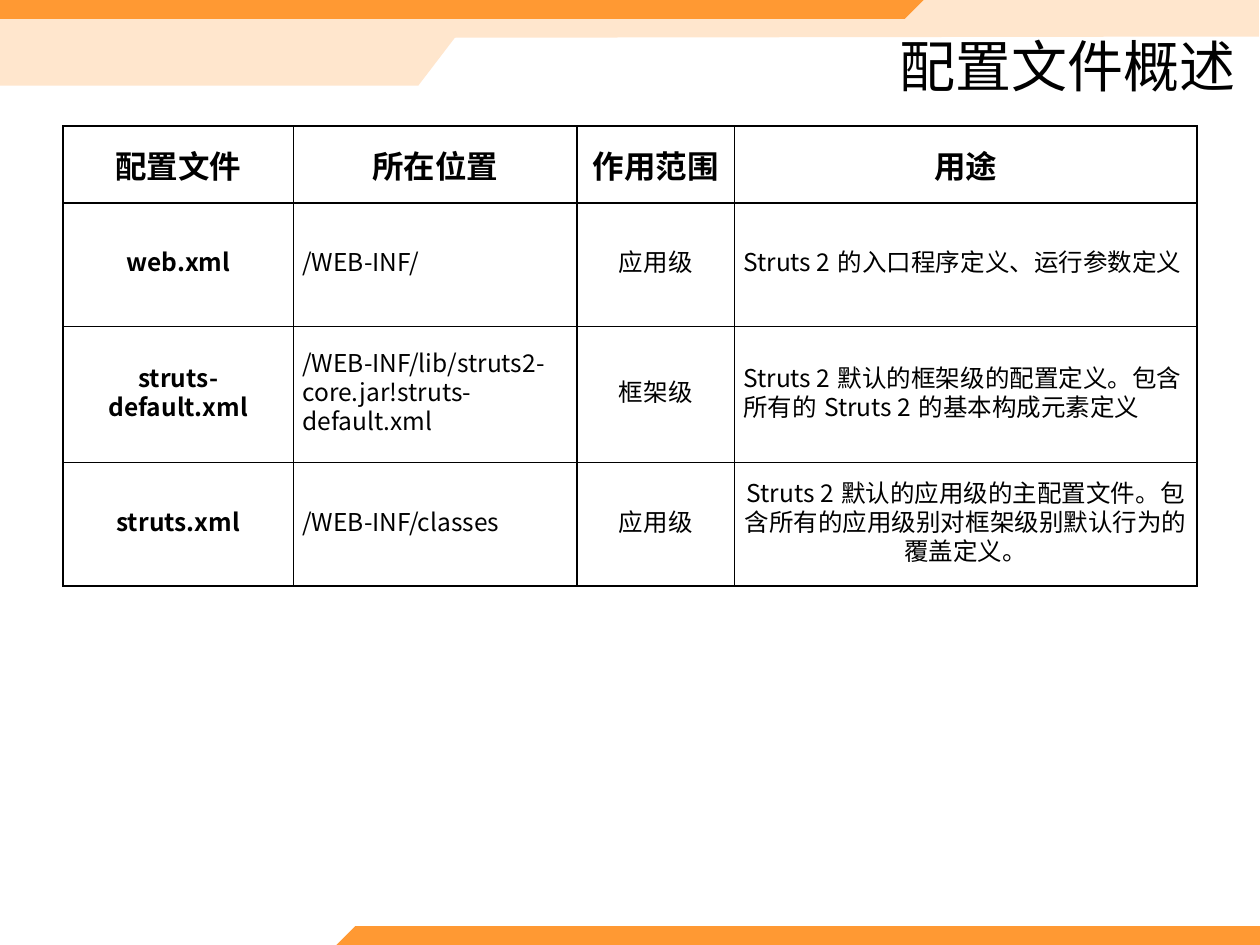
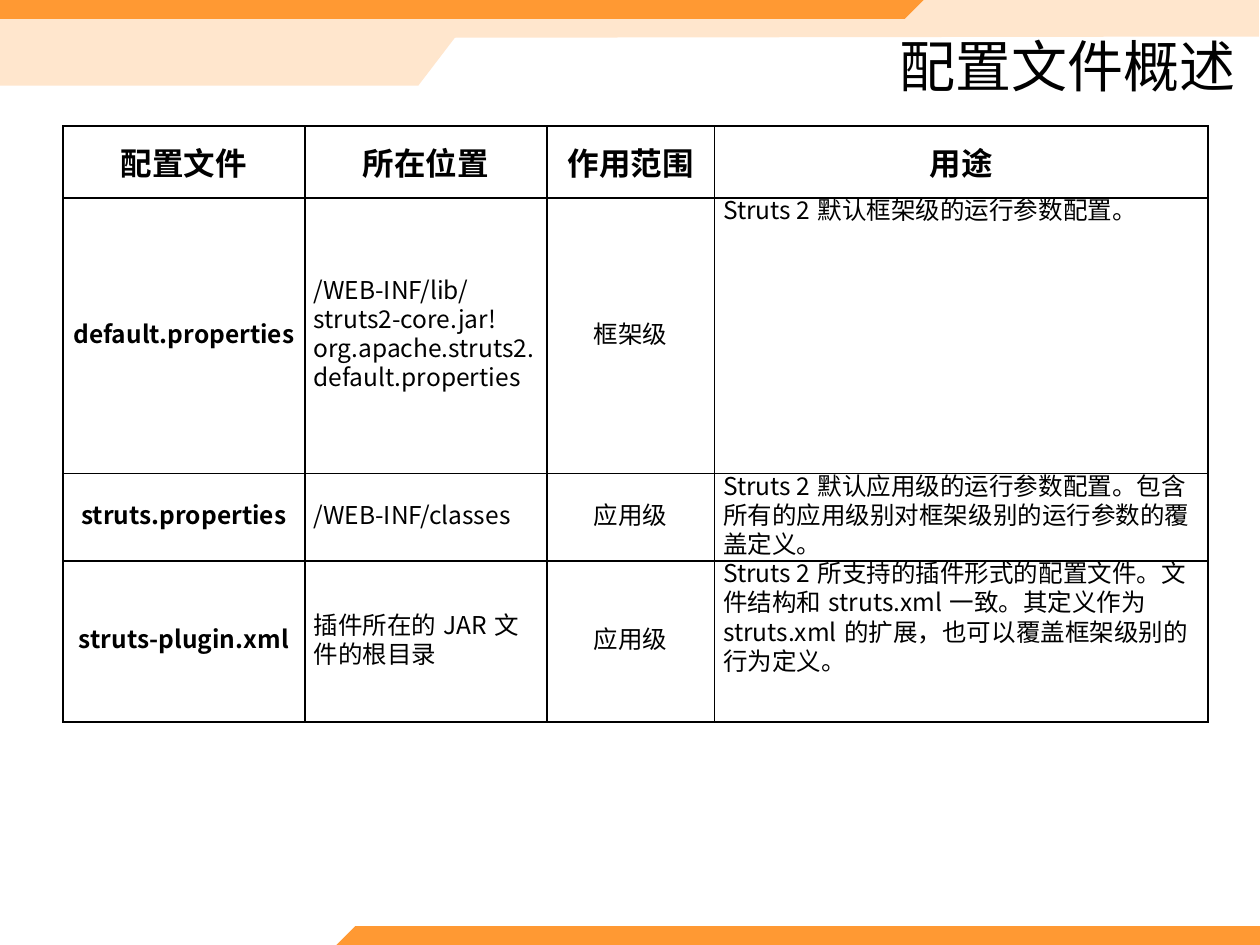
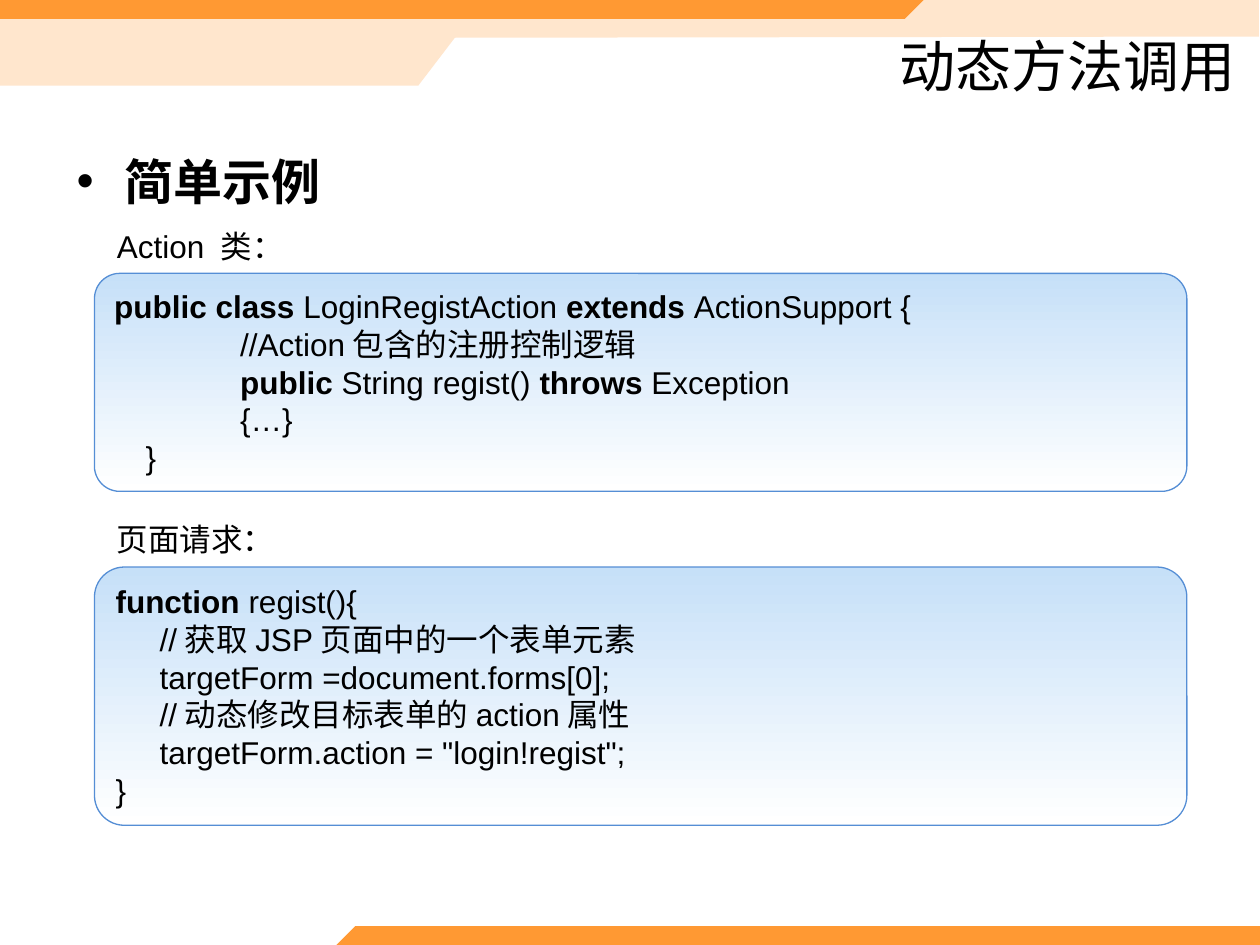
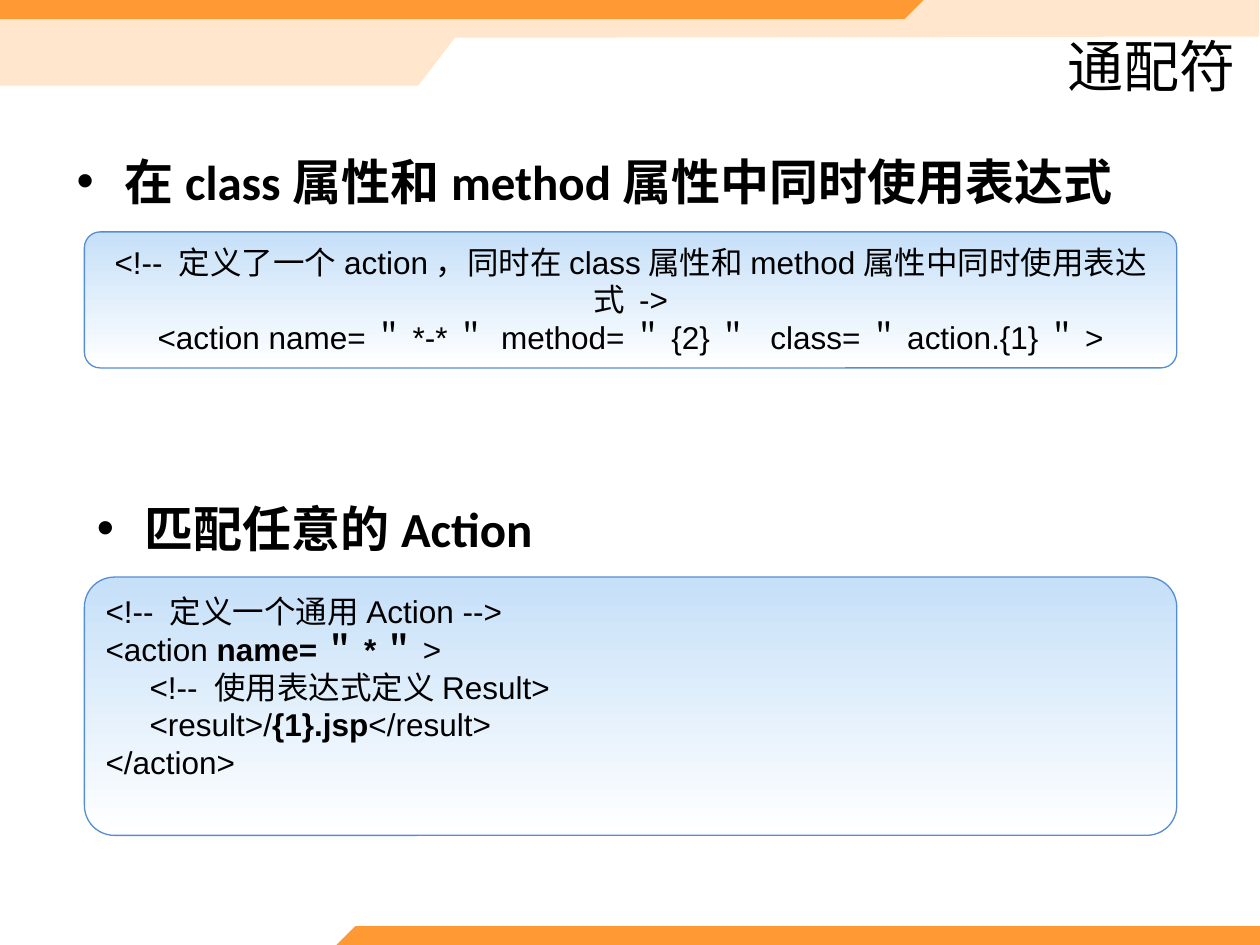
"""Build four slides on Struts 2 configuration files, dynamic method calls and wildcards."""
from pptx import Presentation
from pptx import util as u
from pptx.dml.color import RGBColor
from pptx.enum import shapes, text
from pptx.oxml import parse_xml
from pptx.oxml.ns import nsdecls
from lxml import etree


class Theme:
    ink = RGBColor.from_string("000000")
    orange = RGBColor.from_string("FF9933")
    peach = RGBColor.from_string("FFE6CD")
    code_top = RGBColor.from_string("C6E0F8")
    code_bottom = RGBColor.from_string("FFFFFF")
    code_edge = RGBColor.from_string("558ED5")
    heading_font, code_font, cell_font = "Calibri", "Arial", "Noto Sans CJK SC"
    title_size, point_size, code_size, cell_size = 32, 28, 18, 14


LEFT, CENTER, RIGHT = text.PP_ALIGN.LEFT, text.PP_ALIGN.CENTER, text.PP_ALIGN.RIGHT
MIDDLE, TOP = text.MSO_ANCHOR.MIDDLE, text.MSO_ANCHOR.TOP


def write(paragraph, wording, font, size, align=LEFT, indent=0, hanging=0):
    """Add runs to a paragraph; parts between bars are bold."""
    paragraph.alignment = align
    properties = paragraph._p.get_or_add_pPr()
    properties.set("marL", str(u.Inches(indent)))
    properties.set("indent", str(u.Inches(-hanging)))
    for position, part in enumerate(wording.split("|")):
        if part:
            run = paragraph.add_run()
            run.text = part
            run.font.name, run.font.size = font, u.Pt(size)
            run.font.bold = position % 2 == 1
            run.font.color.rgb = Theme.ink
            east_asian = parse_xml(f'<a:ea {nsdecls("a")} typeface="{Theme.cell_font}"/>')
            run.font._element.find("{*}latin").addnext(east_asian)


def add_text(slide, box, wording, font, size):
    """Add a wrapping text box and return its paragraph."""
    frame = slide.shapes.add_textbox(*map(u.Inches, box)).text_frame
    frame.word_wrap = True
    write(frame.paragraphs[0], wording, font, size)
    return frame.paragraphs[0]


deck = Presentation()
deck.slide_width, deck.slide_height = u.Inches(10), u.Inches(7.5)
title_only = deck.slide_layouts[5]

titles = ["配置文件概述", "配置文件概述", "动态方法调用", "通配符"]
pages = []
for wording in titles:
    page = deck.slides.add_slide(title_only)
    title = page.shapes.title
    title.left, title.top, title.width, title.height = map(u.Inches, (4.06, 0.28, 5.85, 0.47))
    title.text_frame.word_wrap = True
    title.text_frame.auto_size = text.MSO_AUTO_SIZE.NONE
    title.text_frame.vertical_anchor = MIDDLE
    write(title.text_frame.paragraphs[0], wording, Theme.heading_font, Theme.title_size, RIGHT)
    pages.append(page)

bands = [
    (Theme.peach, [(9.99, 0), (0, 0), (0, 0.68), (3.32, 0.68), (3.61, 0.3), (9.99, 0.29)]),
    (Theme.orange, [(7.33, 0), (7.18, 0.15), (0, 0.15), (0, 0)]),
    (Theme.orange, [(2.67, 7.5), (2.82, 7.35), (10, 7.35), (10, 7.5)]),
]
for order, (colour, corners) in enumerate(bands):
    points = [(u.Inches(x), u.Inches(y)) for x, y in corners]
    outline = pages[0].shapes.build_freeform(*points[0])
    outline.add_line_segments(points[1:], close=True)
    band = outline.convert_to_shape()
    band.shadow.inherit = False
    band.fill.solid()
    band.fill.fore_color.rgb = colour
    band.line.fill.background()
    band._element.nvSpPr.cNvPr.id = 20 + order
    title_only.shapes._spTree.insert(2 + order, band._element)

headers = ["配置文件", "所在位置", "作用范围", "用途"]
overviews = [
    ([1.83, 2.25, 1.25, 3.67], [0.61, 0.98, 1.08, 0.98], MIDDLE, [
        ["web.xml", "/WEB-INF/", "应用级", "Struts 2的入口程序定义、运行参数定义"],
        ["struts-default.xml", "/WEB-INF/lib/struts2-core.jar!struts-default.xml", "框架级",
         "Struts 2默认的框架级的配置定义。包含所有的Struts 2的基本构成元素定义"],
        ["struts.xml", "/WEB-INF/classes", "应用级",
         "Struts 2默认的应用级的主配置文件。包含所有的应用级别对框架级别默认行为的覆盖定义。"],
    ]),
    ([1.92, 1.92, 1.33, 3.92], [0.57, 2.19, 0.69, 1.28], TOP, [
        ["default.properties",
         "/WEB-INF/lib/struts2-core.jar!org.apache.struts2.default.properties", "框架级",
         "Struts 2默认框架级的运行参数配置。"],
        ["struts.properties", "/WEB-INF/classes", "应用级",
         "Struts 2默认应用级的运行参数配置。包含所有的应用级别对框架级别的运行参数的覆盖定义。"],
        ["struts-plugin.xml", "插件所在的JAR文件的根目录", "应用级",
         "Struts 2所支持的插件形式的配置文件。文件结构和struts.xml一致。"
         "其定义作为struts.xml的扩展，也可以覆盖框架级别的行为定义。"],
    ]),
]
for page, (widths, heights, purpose_anchor, files) in zip(pages, overviews):
    frame = page.shapes.add_table(len(heights), len(widths), u.Inches(0.5), u.Inches(1),
                                  u.Inches(sum(widths)), u.Inches(sum(heights)))
    overview = frame.table
    overview.first_row = overview.horz_banding = False
    for column, width in zip(overview.columns, widths):
        column.width = u.Inches(width)
    for row, height in zip(overview.rows, heights):
        row.height = u.Inches(height)
    for r, entries in enumerate([headers] + files):
        for c, entry in enumerate(entries):
            cell = overview.cell(r, c)
            line = cell.text_frame.paragraphs[0]
            cell.vertical_anchor = MIDDLE
            if r == 0:
                write(line, f"|{entry}|", Theme.heading_font, Theme.code_size, CENTER, 0.38, 0.38)
            else:
                cell.margin_left = cell.margin_right = u.Inches(0.07)
                cell.margin_top = cell.margin_bottom = 0
                if c == 3:
                    cell.vertical_anchor = purpose_anchor
                centred = c in (0, 2) or entry == files[2][3] and purpose_anchor == MIDDLE
                write(line, f"|{entry}|" if c == 0 else entry, Theme.cell_font, Theme.cell_size,
                      CENTER if centred else LEFT)
                line.line_spacing = u.Pt(16.6)
                line.space_before = line.space_after = u.Pt(6 if c == 0 else 3.4)
            properties = cell._tc.get_or_add_tcPr()
            for side in ("lnL", "lnR", "lnT", "lnB"):
                properties.append(parse_xml(
                    f'<a:{side} {nsdecls("a")} w="12700"><a:solidFill>'
                    f'<a:srgbClr val="{Theme.ink}"/></a:solidFill></a:{side}>'))
            cell.fill.background()

calls, wildcards = pages[2:]

points = [
    (calls, (0.51, 0.92, 9, 5.66), "简单示例"),
    (wildcards, (0.51, 0.92, 9, 1.08), "在class属性和method属性中同时使用表达式"),
    (wildcards, (0.67, 3.67, 9, 1.08), "匹配任意的Action"),
]
for page, box, wording in points:
    point = add_text(page, box, f"|{wording}|", Theme.heading_font, Theme.point_size)
    point.line_spacing = 1.5
    point.space_before = u.Pt(5.6)
    properties = point._p.get_or_add_pPr()
    properties.set("marL", str(u.Inches(0.38)))
    properties.set("indent", str(u.Inches(-0.38)))
    etree.SubElement(properties, "{%s}buFont" % properties.nsmap["a"], typeface="Arial")
    etree.SubElement(properties, "{%s}buChar" % properties.nsmap["a"], char="•")

listings = [
    (calls, (0.75, 2.17, 8.67, 1.73), LEFT, [
        (0, "|public class |LoginRegistAction |extends |ActionSupport {"),
        (1, "//Action包含的注册控制逻辑"),
        (1, "|public |String regist() |throws| Exception"),
        (1, "{…}"),
        (0.25, "}"),
    ]),
    (calls, (0.75, 4.5, 8.67, 2.05), LEFT, [
        (0, "|function |regist(){"),
        (0.35, "//获取JSP页面中的一个表单元素"),
        (0.35, "targetForm =document.forms[0];"),
        (0.35, "//动态修改目标表单的action属性"),
        (0.35, 'targetForm.action = "login!regist";'),
        (0, "}"),
    ]),
    (wildcards, (0.67, 1.84, 8.67, 1.08), CENTER, [
        (0, "<!-- 定义了一个action，同时在class属性和method属性中同时使用表达式 ->"),
        (0, "<action name=＂*-*＂ method=＂{2}＂  class=＂action.{1}＂>"),
    ]),
    (wildcards, (0.67, 4.58, 8.67, 2.05), LEFT, [
        (0, "<!-- 定义一个通用Action -->"),
        (0, "<action |name=＂*＂|>"),
        (0.35, "<!-- 使用表达式定义Result>"),
        (0.35, "<result>/|{1}.jsp|</result>"),
        (0, "</action>"),
    ]),
]
for page, box, align, code in listings:
    panel = page.shapes.add_shape(shapes.MSO_SHAPE.ROUNDED_RECTANGLE, *map(u.Inches, box))
    panel.adjustments[0] = 0.116
    panel.shadow.inherit = False
    panel.fill.gradient()
    panel.fill.gradient_angle = 270
    for stop, colour in zip(panel.fill.gradient_stops, (Theme.code_top, Theme.code_bottom)):
        stop.color.rgb = colour
    panel.line.color.rgb = Theme.code_edge
    panel.line.width = u.Pt(0.75)
    panel.text_frame.word_wrap = True
    panel.text_frame.vertical_anchor = TOP
    for number, (indent, wording) in enumerate(code):
        line = panel.text_frame.add_paragraph() if number else panel.text_frame.paragraphs[0]
        write(line, wording, Theme.code_font, Theme.code_size, align, indent)

for top, caption in ((1.75, "Action 类："), (4.08, "页面请求：")):
    add_text(calls, (0.83, top, 3, 0.42), caption, Theme.code_font, Theme.code_size)

deck.save("out.pptx")
